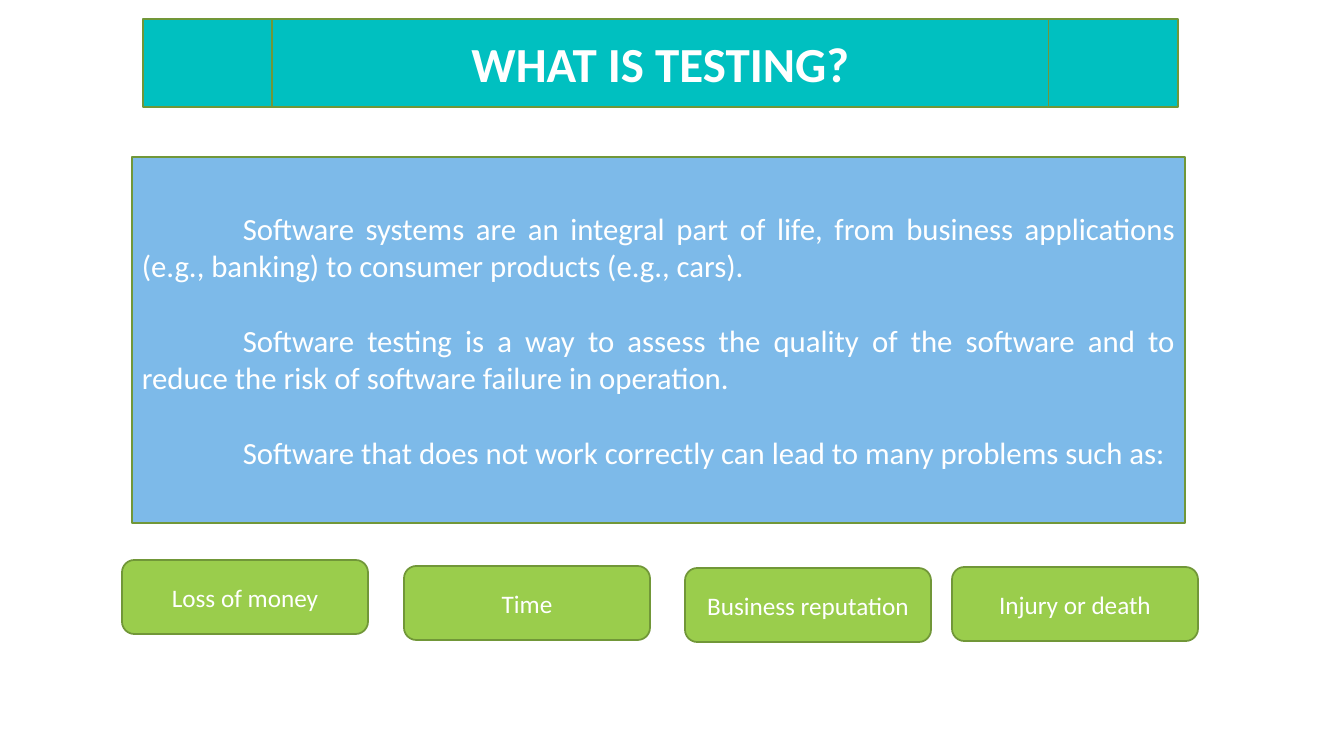
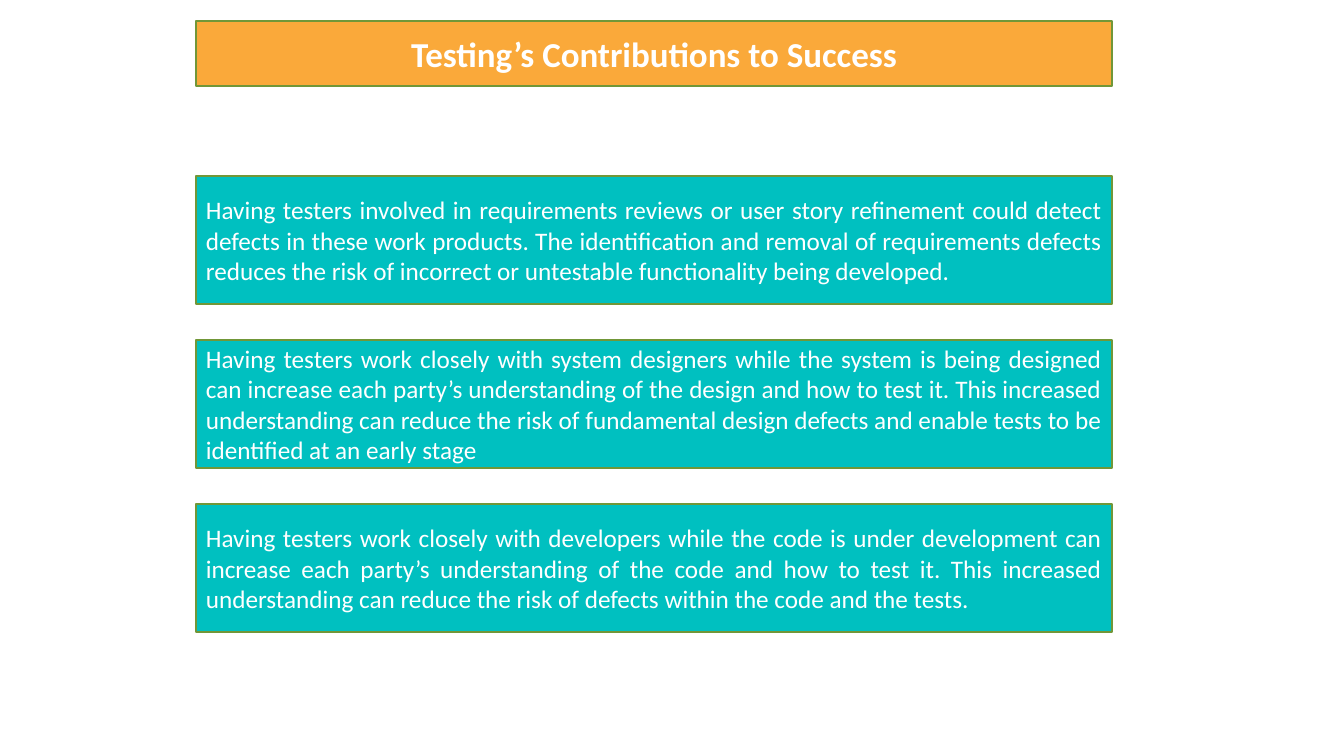
from dataclasses import dataclass

from pptx import Presentation
from pptx.dml.color import RGBColor
from pptx.enum.shapes import MSO_SHAPE
from pptx.enum.text import MSO_ANCHOR, MSO_AUTO_SIZE, PP_ALIGN
from pptx.util import Emu, Pt

PX = 914400 / 100.8


@dataclass(frozen=True)
class Theme:
    font: str = "Calibri"
    text: str = "FFFFFF"
    outline: str = "719738"
    teal: str = "00C0C0"
    blue: str = "7DBAE9"
    green: str = "9ACD4C"
    orange: str = "FAA93A"
    outline_pt: float = 1.25
    banner_pt: int = 35
    heading_pt: int = 25
    intro_pt: int = 22
    body_pt: int = 18
    intro_gap_pt: int = 27


THEME = Theme()

SLIDE_SIZE = (1344, 756)

WHAT_TITLE = "WHAT IS TESTING?"
WHAT_BANNER = (143, 19, 1035, 88)
INTRO_BOX = (132, 157, 1053, 366)
INTRO_INDENT = 101
INTRO = [
    "Software systems are an integral part of life, from business applications "
    "(e.g., banking) to consumer products (e.g., cars).",
    "Software testing is a way to assess the quality of the software and to "
    "reduce the risk of software failure in operation.",
    "Software that does not work correctly can lead to many problems such as:",
]
PROBLEM_SIZE = (246, 74)
PROBLEMS = [
    ("Loss of money", 122, 560),
    ("Time", 404, 566),
    ("Business reputation", 685, 568),
    ("Injury or death", 952, 567),
]

SUCCESS_TITLE = "Testing’s Contributions to Success"
SUCCESS_BANNER = (196, 21, 916, 65)
CONTRIBUTION_FIRST = (196, 176, 916, 128)
CONTRIBUTION_GAP = 36
CONTRIBUTIONS = [
    "Having testers involved in requirements reviews or user story refinement "
    "could detect defects in these work products. The identification and removal "
    "of requirements defects reduces the risk of incorrect or untestable "
    "functionality being developed.",
    "Having testers work closely with system designers while the system is being "
    "designed can increase each party’s understanding of the design and how to "
    "test it. This increased understanding can reduce the risk of fundamental "
    "design defects and enable tests to be identified at an early stage",
    "Having testers work closely with developers while the code is under "
    "development can increase each party’s understanding of the code and how to "
    "test it. This increased understanding can reduce the risk of defects within "
    "the code and the tests.",
]


def px(length):
    return Emu(round(length * PX))


def write(shape, paragraphs, size, align, bold=False, indent=0, gap=0):
    frame = shape.text_frame
    frame.word_wrap = True
    frame.auto_size = MSO_AUTO_SIZE.NONE
    frame.vertical_anchor = MSO_ANCHOR.MIDDLE
    for i, text in enumerate(paragraphs):
        paragraph = frame.paragraphs[0] if i == 0 else frame.add_paragraph()
        paragraph.text = text
        paragraph.alignment = align
        if indent:
            paragraph._p.get_or_add_pPr().set("indent", str(px(indent)))
        if i and gap:
            paragraph.space_before = Pt(gap)
        font = paragraph.font
        font.name, font.size, font.bold = THEME.font, Pt(size), bold
        font.color.rgb = RGBColor.from_string(THEME.text)


def add_panel(slide, box, fill, kind=MSO_SHAPE.RECTANGLE):
    panel = slide.shapes.add_shape(kind, *map(px, box))
    panel.shadow.inherit = False
    panel.fill.solid()
    panel.fill.fore_color.rgb = RGBColor.from_string(fill)
    panel.line.color.rgb = RGBColor.from_string(THEME.outline)
    panel.line.width = Pt(THEME.outline_pt)
    return panel


def add_titled_slide(deck, title_text, box, fill, size, kind=MSO_SHAPE.RECTANGLE):
    """Add a slide whose title placeholder lies on top of a coloured banner."""
    slide = deck.slides.add_slide(deck.slide_layouts[5])
    banner = add_panel(slide, box, fill, kind)
    title = slide.shapes.title
    title.left, title.top, title.width, title.height = map(px, box)
    write(title, [title_text], size, PP_ALIGN.CENTER, bold=True)
    banner._element.addnext(title._element)
    return slide


def build_what_is_testing(deck):
    slide = add_titled_slide(deck, WHAT_TITLE, WHAT_BANNER, THEME.teal,
                             THEME.banner_pt, MSO_SHAPE.FLOWCHART_PREDEFINED_PROCESS)
    intro = add_panel(slide, INTRO_BOX, THEME.blue)
    write(intro, INTRO, THEME.intro_pt, PP_ALIGN.JUSTIFY,
          indent=INTRO_INDENT, gap=THEME.intro_gap_pt)
    for label, left, top in PROBLEMS:
        problem = add_panel(slide, (left, top, *PROBLEM_SIZE), THEME.green,
                            MSO_SHAPE.ROUNDED_RECTANGLE)
        write(problem, [label], THEME.body_pt, PP_ALIGN.CENTER)


def build_contributions(deck):
    slide = add_titled_slide(deck, SUCCESS_TITLE, SUCCESS_BANNER, THEME.orange,
                             THEME.heading_pt)
    left, top, width, height = CONTRIBUTION_FIRST
    for i, text in enumerate(CONTRIBUTIONS):
        row_top = top + i * (height + CONTRIBUTION_GAP)
        contribution = add_panel(slide, (left, row_top, width, height), THEME.teal)
        write(contribution, [text], THEME.body_pt, PP_ALIGN.JUSTIFY)


def main():
    deck = Presentation()
    deck.slide_width, deck.slide_height = map(px, SLIDE_SIZE)
    build_what_is_testing(deck)
    build_contributions(deck)
    deck.save("out.pptx")


if __name__ == "__main__":
    main()
